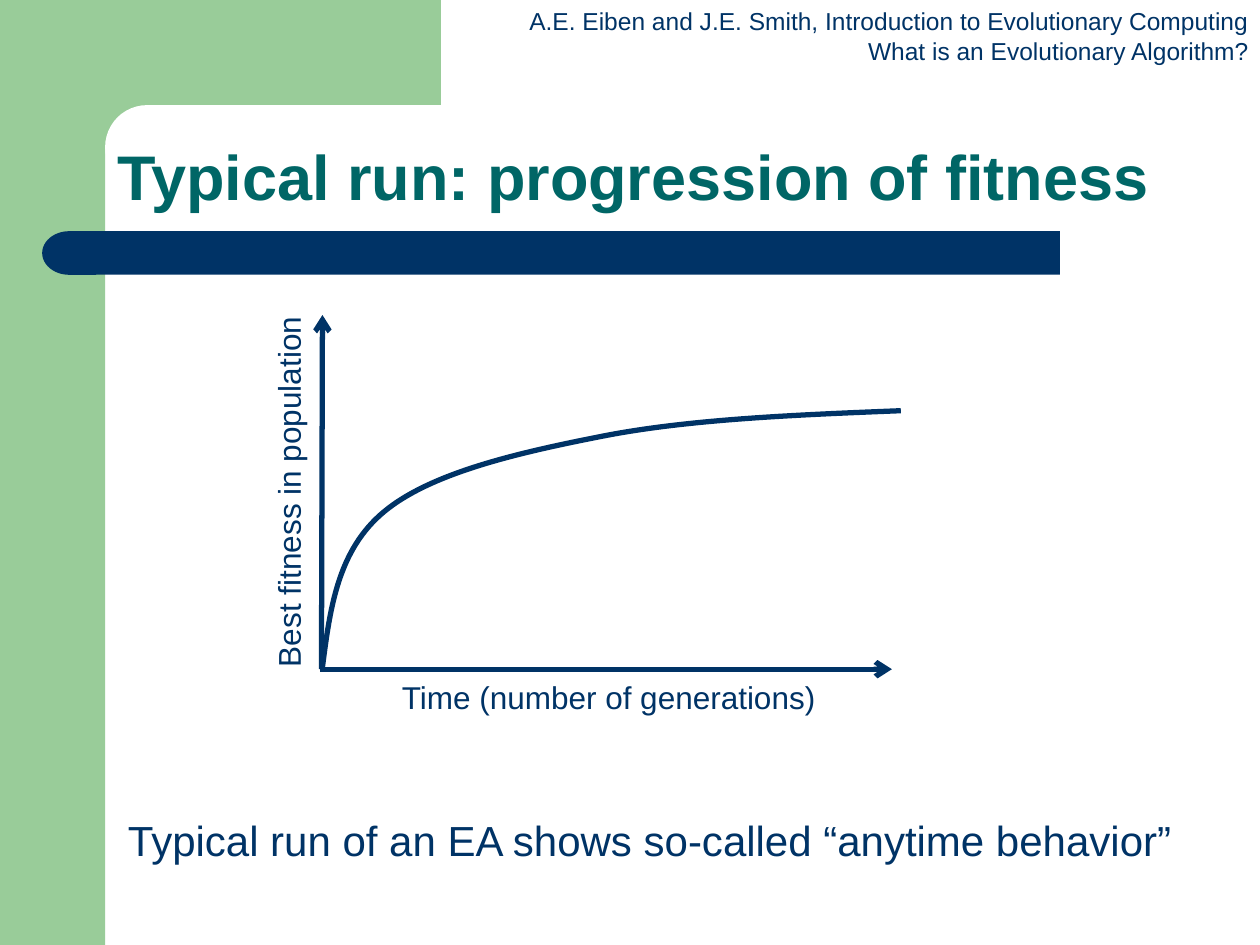
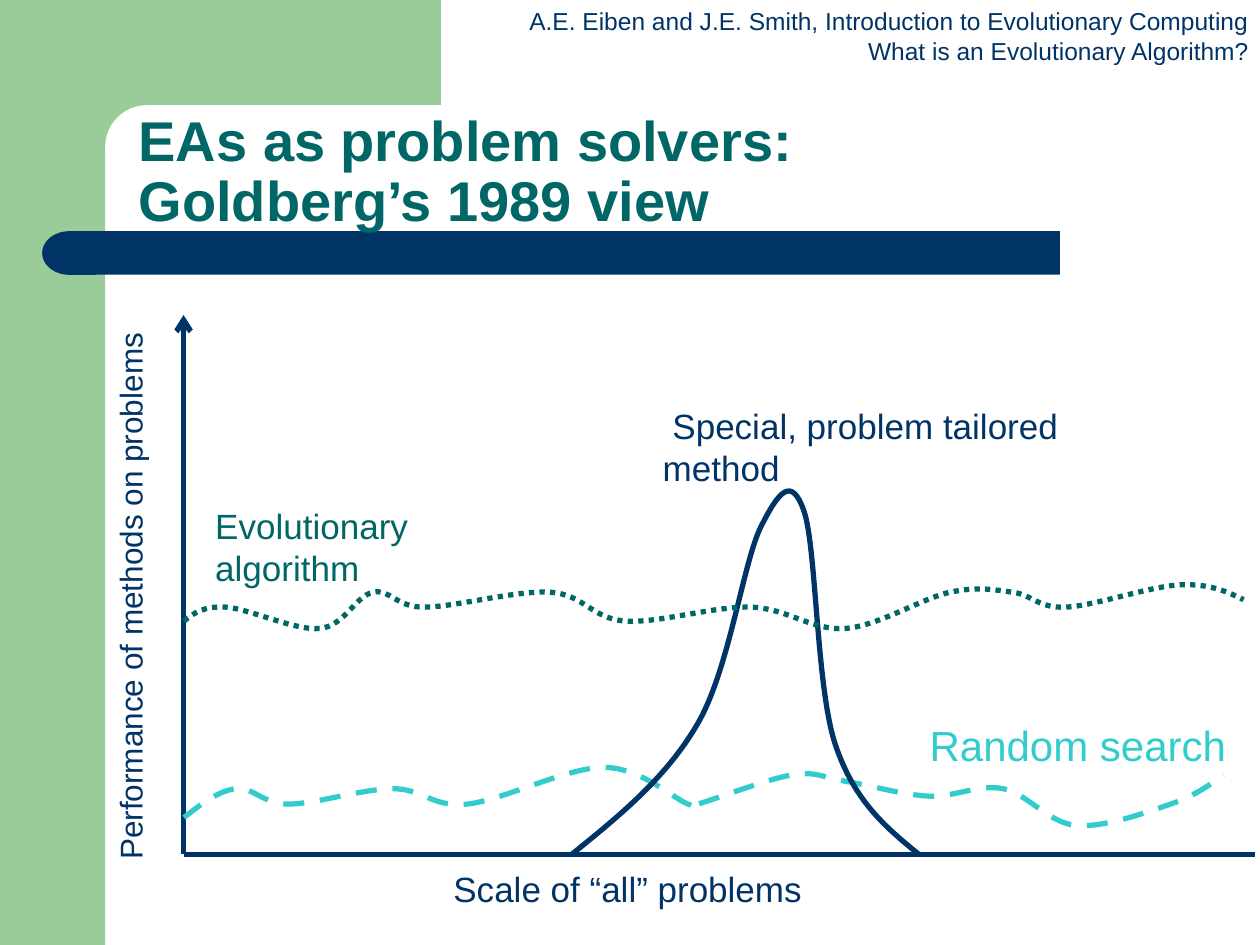
import pptx
import pptx.util
import pptx.dml.color
import pptx.enum.dml
import pptx.enum.shapes
import pptx.enum.text
import pptx.oxml
import pptx.oxml.ns
import lxml.etree

Cm = pptx.util.Cm
Pt = pptx.util.Pt
RGBColor = pptx.dml.color.RGBColor
Kind = pptx.enum.shapes.MSO_SHAPE
Align = pptx.enum.text.PP_ALIGN
Anchor = pptx.enum.text.MSO_ANCHOR
Fit = pptx.enum.text.MSO_AUTO_SIZE
Dash = pptx.enum.dml.MSO_LINE
qn = pptx.oxml.ns.qn

NAVY = RGBColor(0x00, 0x33, 0x66)
TEAL = RGBColor(0x00, 0x66, 0x66)
GREEN = RGBColor(0x99, 0xCC, 0x99)
AQUA = RGBColor(0x33, 0xCC, 0xCC)
WHITE = RGBColor(0xFF, 0xFF, 0xFF)
FONT = "Arial"


def write(slide, words, left, top, width, height, size,
          color=NAVY, align=Align.LEFT, turn=0, wrap=False):
    box = slide.shapes.add_textbox(Cm(left), Cm(top), Cm(width), Cm(height))
    box.rotation = turn
    frame = box.text_frame
    frame.word_wrap = wrap
    frame.auto_size = Fit.SHAPE_TO_FIT_TEXT
    frame.text = words
    for para in frame.paragraphs:
        para.alignment = align
        para.font.name = FONT
        para.font.size = Pt(size)
        para.font.color.rgb = color


def curve(slide, knots, color=NAVY, dash=None):
    """Draw a smooth line: each knot's tangent is parallel to its neighbours' chord."""
    knots = [(Cm(x), Cm(y)) for x, y in knots]
    pen = slide.shapes.build_freeform(*knots[0])
    pen.add_line_segments(knots[1:], close=False)
    shape = pen.convert_to_shape()
    shape.shadow.inherit = False
    shape.fill.background()
    shape.line.color.rgb = color
    shape.line.width = Pt(3)
    if dash:
        shape.line.dash_style = dash

    # Handles before and after each inner knot; end handles sit halfway
    pulls = [((c[0] - a[0]) / 6, (c[1] - a[1]) / 6) for a, c in zip(knots, knots[2:])]
    before = [(x - u, y - v) for (x, y), (u, v) in zip(knots[1:], pulls)]
    after = [(x + u, y + v) for (x, y), (u, v) in zip(knots[1:], pulls)]
    first = tuple((p + q) / 2 for p, q in zip(knots[0], before[0]))
    last = tuple((p + q) / 2 for p, q in zip(knots[-1], after[-1]))
    parts = list(shape.element.iter(qn("a:lnTo")))
    for part, start, end in zip(parts, [first, *after], [*before, last]):
        bend = lxml.etree.Element(qn("a:cubicBezTo"))
        for x, y in (start, end):
            lxml.etree.SubElement(bend, qn("a:pt"), x=str(round(x - shape.left)),
                                  y=str(round(y - shape.top)))
        bend.append(part[0])
        part.getparent().replace(part, bend)


deck = pptx.Presentation()
deck.slide_width, deck.slide_height = Cm(25.4), Cm(19.05)

# Shared look: bands, header, title, axes
bands = [
    (Kind.RECTANGLE, 0, 0, 2.12, 19.05, GREEN, 0),
    (Kind.RECTANGLE, 1.9, 0, 6.99, 2.96, GREEN, 0),
    (Kind.ROUNDED_RECTANGLE, 2.12, 2.12, 14.18, 1.69, WHITE, 0),
    (Kind.RECTANGLE, 1.9, 4.66, 19.47, 0.88, NAVY, 0),
    (Kind.FLOWCHART_DELAY, 0.85, 4.66, 1.09, 0.88, NAVY, 180),
]
header = ("A.E. Eiben and J.E. Smith, Introduction to Evolutionary Computing\n"
          "What is an Evolutionary Algorithm?")
# title, place, size, anchor, axis lines (x1, y1, x2, y2, arrow)
pages = [
    ("Typical run: progression of fitness",
     (2.12, 2.54, 21.59, 1.9), 36, Anchor.BOTTOM,
     [(6.45, 13.49, 17.98, 13.49, True), (6.48, 13.49, 6.5, 6.35, True)]),
    ("EAs as problem solvers: \vGoldberg’s 1989 view",
     (2.54, 2.33, 21.59, 2.33), 32, Anchor.MIDDLE,
     [(3.7, 17.22, 25.3, 17.22, False), (3.7, 17.22, 3.7, 6.35, True)]),
]

for words, place, size, anchor, axes in pages:
    slide = deck.slides.add_slide(deck.slide_layouts[5])
    for kind, left, top, width, height, color, turn in bands:
        band = slide.shapes.add_shape(kind, Cm(left), Cm(top), Cm(width), Cm(height))
        band.rotation = turn
        band.shadow.inherit = False
        band.fill.solid()
        band.fill.fore_color.rgb = color
        band.line.fill.background()
        if kind == Kind.ROUNDED_RECTANGLE:
            band.adjustments[0] = 0.5
    write(slide, header, 10.42, 0, 15.01, 1.45, 14, align=Align.RIGHT)

    title = slide.shapes.title
    title.left, title.top, title.width, title.height = map(Cm, place)
    frame = title.text_frame
    frame.auto_size = Fit.NONE
    frame.vertical_anchor = anchor
    frame.text = words
    para = frame.paragraphs[0]
    para.alignment = Align.LEFT
    para.line_spacing = 0.9
    para.font.name = FONT
    para.font.size = Pt(size)
    para.font.bold = True
    para.font.color.rgb = TEAL
    title.element.getparent().append(title.element)  # bring in front of the bands

    for x1, y1, x2, y2, arrow in axes:
        axis = slide.shapes.add_connector(
            pptx.enum.shapes.MSO_CONNECTOR.STRAIGHT, Cm(x1), Cm(y1), Cm(x2), Cm(y2))
        axis.line.color.rgb = NAVY
        axis.line.width = Pt(3)
        props = axis.element.spPr
        lxml.etree.SubElement(props, qn("a:effectLst"))
        if arrow:
            lxml.etree.SubElement(props.find(qn("a:ln")), qn("a:tailEnd"), type="arrow")

run, view = deck.slides

# Slide 1: fitness over time
write(run, "Best fitness in population", 2.03, 9.4, 7.57, 1.02, 18, turn=270)
write(run, "Time (number of generations)", 7.85, 13.54, 8.86, 1.02, 18)
write(run, "Typical run of an EA shows so-called “anytime behavior”",
      2.33, 16.3, 22.02, 1.27, 24, wrap=True)
curve(run, [(6.5, 13.46), (7.75, 10.31), (12.17, 8.79), (18.16, 8.28)])

# Slide 2: three methods compared
write(view, "Scale of “all” problems", 8.89, 17.36, 7.54, 1.12, 20)
write(view, "Performance of methods on problems",
      -2.94, 11.51, 11.13, 1.02, 18, turn=270)

curve(view, [(3.71, 16.48), (4.75, 15.9), (5.82, 16.21), (7.92, 15.9),
             (9.42, 16.21), (12.17, 15.47), (13.87, 16.21), (14.07, 16.21),
             (15.98, 15.62), (17.04, 15.75), (18.72, 16.05), (20.22, 15.9),
             (21.69, 16.64), (23.6, 16.21), (24.66, 15.62)], AQUA, Dash.DASH)
write(view, "Random search", 18.49, 14.38, 6.48, 1.27, 24, AQUA)

write(view, " Special, problem tailored method", 13.11, 8.03, 11.02, 1.12, 20)
curve(view, [(11.53, 17.22), (14.07, 14.58), (15.34, 10.62),
             (16.21, 10.31), (16.84, 15.01), (18.52, 17.22)])

curve(view, [(3.71, 12.52), (4.55, 12.24), (6.45, 12.67), (7.52, 11.94),
             (8.56, 12.24), (11.1, 11.94), (12.6, 12.52), (15.14, 12.24),
             (17.04, 12.67), (19.15, 11.94), (20.42, 11.94), (21.49, 12.24),
             (23.8, 11.79), (25.07, 12.09)], TEAL, Dash.ROUND_DOT)
write(view, "Evolutionary algorithm", 4.09, 10.04, 7.49, 1.12, 20, TEAL)

deck.save("out.pptx")
